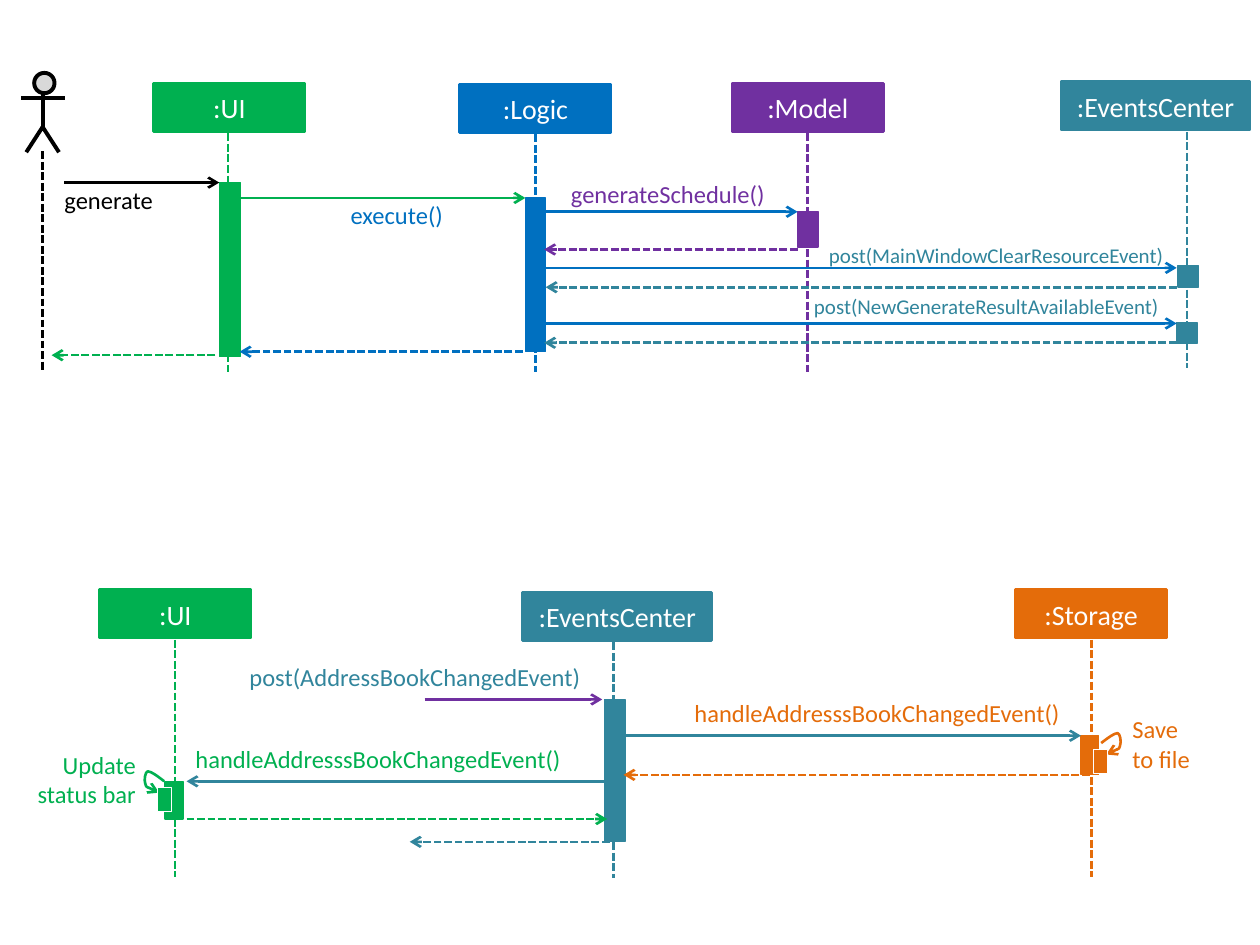
import pptx
import pptx.dml.color
import pptx.enum.dml
import pptx.enum.shapes
import pptx.enum.text
import pptx.oxml
import pptx.oxml.ns
import pptx.util
from lxml import etree
from pptx.util import Cm

GREEN, BLUE, PURPLE = "00B050", "0070C0", "7030A0"
TEAL, ORANGE, BLACK, WHITE = "31859C", "E46C0A", "000000", "FFFFFF"
LEFT, CENTER, RIGHT = (pptx.enum.text.PP_ALIGN.LEFT, pptx.enum.text.PP_ALIGN.CENTER,
                       pptx.enum.text.PP_ALIGN.RIGHT)
RECTANGLE = pptx.enum.shapes.MSO_SHAPE.RECTANGLE
HEADER_HEIGHT = 0.97
SELF_CALL_CURVE = [(0.13, -0.13), (0, -0.23), (-0.13, -0.33), (-0.2, -0.33), (-0.25, -0.33),
                   (-0.28, -0.15), (-0.25, -0.08), (-0.23, 0), (-0.1, 0.05), (0.03, 0.1)]


def rgb(value):
    """Turn a hex string into a colour."""
    return pptx.dml.color.RGBColor.from_string(value)


def style_line(line, color, width=1.5, dashed=False, arrow=False):
    """Set colour, width, dash and end arrow of a line."""
    line.color.rgb = rgb(color)
    line.width = pptx.util.Pt(width)
    if dashed:
        line.dash_style = pptx.enum.dml.MSO_LINE.SQUARE_DOT
    if arrow:
        properties = line.color._xFill.getparent()
        etree.SubElement(properties, pptx.oxml.ns.qn("a:tailEnd"), type="arrow")


def style_text(paragraph, text, color, size, align):
    """Write and format one paragraph."""
    paragraph.text = text
    paragraph.alignment = align
    paragraph.font.name = "Calibri"
    paragraph.font.size = pptx.util.Pt(size)
    paragraph.font.color.rgb = rgb(color)


class Region:
    """Draws diagram parts, in centimetres, relative to a box corner."""

    def __init__(self, slide, left, top):
        """Remember the slide and the corner of the box."""
        self.shapes = slide.shapes
        self.left, self.top = left, top

    def place(self, x, y):
        """Return a slide position for a point in the box."""
        return Cm(self.left + x), Cm(self.top + y)

    def block(self, color, x, y, width, height, outline=None, line_width=0.75, kind=RECTANGLE):
        """Add a filled shape."""
        shape = self.shapes.add_shape(kind, *self.place(x, y), Cm(width), Cm(height))
        shape.shadow.inherit = False
        shape.fill.solid()
        shape.fill.fore_color.rgb = rgb(color)
        style_line(shape.line, outline or color, line_width)
        return shape

    def line(self, color, start, end, width=1.5, dashed=False, arrow=False):
        """Add a straight connector."""
        connector = self.shapes.add_connector(
            pptx.enum.shapes.MSO_CONNECTOR.STRAIGHT, *self.place(*start), *self.place(*end))
        style_line(connector.line, color, width, dashed, arrow)
        etree.SubElement(connector._element.spPr, pptx.oxml.ns.qn("a:effectLst"))

    def outline(self, color, points, width, arrow=False):
        """Add an open, unfilled outline through the points."""
        places = [self.place(*point) for point in points]
        builder = self.shapes.build_freeform(*places[0])
        builder.add_line_segments(places[1:], close=False)
        shape = builder.convert_to_shape()
        shape.shadow.inherit = False
        shape.fill.background()
        style_line(shape.line, color, width, arrow=arrow)
        return shape

    def participant(self, name, color, x, y, width, lifeline, end):
        """Add a header with its dashed lifeline."""
        header = self.block(color, x, y, width, HEADER_HEIGHT, line_width=1.5)
        header.text_frame.vertical_anchor = pptx.enum.text.MSO_ANCHOR.MIDDLE
        style_text(header.text_frame.paragraphs[0], name, WHITE, 16, CENTER)
        self.line(color, (lifeline, y + HEADER_HEIGHT + 0.04), (lifeline, end), dashed=True)

    def message(self, color, start, end, y, dashed=False):
        """Add a horizontal arrow; replies are dashed."""
        self.line(color, (start, y), (end, y), dashed=dashed, arrow=True)

    def label(self, text, color, x, y, width, size=14, align=LEFT, height=0.61):
        """Add a text label without margins."""
        box = self.shapes.add_textbox(*self.place(x, y), Cm(width), Cm(height))
        frame = box.text_frame
        frame.word_wrap = True
        frame.auto_size = pptx.enum.text.MSO_AUTO_SIZE.SHAPE_TO_FIT_TEXT
        frame.margin_left = frame.margin_right = frame.margin_top = frame.margin_bottom = 0
        style_text(frame.paragraphs[0], text, color, size, align)

    def self_call(self, color, x, y, mirrored=False):
        """Add a small activation with a curved arrow looping into it."""
        width = 0.28
        points = [(x + (width - dx if mirrored else dx), y + dy) for dx, dy in SELF_CALL_CURVE]
        curve = self.outline(color, points, 1.5, arrow=True)
        segments = list(curve._element.iter(pptx.oxml.ns.qn("a:lnTo")))
        for index in range(0, len(segments), 3):
            bezier = etree.Element(pptx.oxml.ns.qn("a:cubicBezTo"))
            segments[index].addprevious(bezier)
            for segment in segments[index:index + 3]:
                bezier.append(segment[0])
                segment.getparent().remove(segment)
        self.block(color, x, y, width, 0.48, outline=WHITE)

    def draw(self, participants, activations, messages, labels):
        """Draw the listed parts from back to front."""
        for method, rows in ((self.participant, participants), (self.block, activations),
                             (self.message, messages), (self.label, labels)):
            for row in rows:
                method(*row)


def draw_actor(slide, left, top):
    """Draw the stick figure of the user."""
    actor = Region(slide, left, top)
    actor.block("D9D9D9", 0.26, 0, 0.41, 0.41, BLACK, 2.25,
                pptx.enum.shapes.MSO_SHAPE.FLOWCHART_CONNECTOR)
    actor.line(BLACK, (0.43, 0.41), (0.43, 1.12), 2.25)
    actor.outline(BLACK, [(0.1, 1.6), (0.43, 1.09), (0.76, 1.6)], 2.25)
    actor.line(BLACK, (0, 0.51), (0.89, 0.51), 2.25)


def draw_generate_sequence(slide, left, top):
    """Draw the sequence started by the generate command."""
    region = Region(slide, left, top)
    draw_actor(slide, left + 0.43, top - 0.03)
    region.line(BLACK, (0.86, 1.55), (0.86, 5.99), dashed=True)
    region.draw(
        [(":UI", GREEN, 3.1, 0.18, 3.05, 4.6, 5.99),
         (":Logic", BLUE, 9.27, 0.2, 3.05, 10.79, 5.99),
         (":Model", PURPLE, 14.76, 0.18, 3.05, 16.28, 5.99),
         (":EventsCenter", TEAL, 21.39, 0.15, 3.81, 23.93, 5.92)],
        [(GREEN, 4.42, 2.18, 0.43, 3.51),
         (BLUE, 10.59, 2.49, 0.41, 3.1),
         (PURPLE, 16.08, 2.77, 0.41, 0.71),
         (TEAL, 23.75, 3.86, 0.41, 0.43),
         (TEAL, 23.72, 5, 0.41, 0.43)],
        [(BLACK, 1.3, 4.42, 2.18),
         (GREEN, 4.83, 10.59, 2.49),
         (BLUE, 10.97, 16.08, 2.77),
         (PURPLE, 16.08, 10.97, 3.53, True),
         (BLUE, 11, 23.72, 3.9),
         (TEAL, 23.72, 11, 4.29, True),
         (BLUE, 10.97, 23.72, 5.02),
         (TEAL, 23.72, 10.97, 5.41, True),
         (BLUE, 10.54, 4.83, 5.59, True),
         (GREEN, 4.34, 1.04, 5.66, True)],
        [("generate", BLACK, 1.3, 2.23, 2.39),
         ("execute()", BLUE, 6.02, 2.54, 3.96, 14, CENTER),
         ("generateSchedule()", PURPLE, 11.51, 2.11, 3.96),
         ("post(MainWindowClearResourceEvent)", TEAL, 16.71, 3.38, 6.78, 12, LEFT, 0.51),
         ("post(NewGenerateResultAvailableEvent)", TEAL, 16.41, 4.42, 6.99, 12, LEFT, 0.51)])


def draw_event_sequence(slide, left, top):
    """Draw the handling of the changed-event by UI and storage."""
    region = Region(slide, left, top)
    region.draw(
        [(":UI", GREEN, 2.01, 0.09, 3.05, 3.53, 5.88),
         (":EventsCenter", TEAL, 10.54, 0.14, 3.81, 12.37, 5.9),
         (":Storage", ORANGE, 20.47, 0.09, 3.05, 22, 5.88)],
        [(GREEN, 3.33, 3.95, 0.36, 0.76),
         (TEAL, 12.19, 2.3, 0.41, 2.87),
         (ORANGE, 21.79, 3.03, 0.36, 0.79)],
        [(PURPLE, 8.56, 12.14, 2.3),
         (TEAL, 12.57, 21.79, 3.03),
         (ORANGE, 21.97, 12.57, 3.82, True),
         (TEAL, 12.24, 3.76, 3.95),
         (GREEN, 3.76, 12.24, 4.71, True),
         (TEAL, 12.29, 8.26, 5.17, True)],
        [("post(AddressBookChangedEvent)", TEAL, 5.03, 1.54, 7.54),
         ("handleAddresssBookChangedEvent()", ORANGE, 14, 2.27, 7.39),
         ("handleAddresssBookChangedEvent()", GREEN, 3.94, 3.19, 7.39),
         ("Update status bar", GREEN, 0.53, 3.31, 2.21, 14, RIGHT, 1.19),
         ("Save \vto file", ORANGE, 22.83, 2.6, 1.5, 14, LEFT, 1.19)])
    region.self_call(GREEN, 3.18, 4.08)
    region.self_call(ORANGE, 22.05, 3.31, mirrored=True)


presentation = pptx.Presentation()
presentation.slide_width, presentation.slide_height = Cm(25.4), Cm(19.05)
slide = presentation.slides.add_slide(presentation.slide_layouts[6])
draw_generate_sequence(slide, 0, 1.5)
draw_event_sequence(slide, 0, 11.8)
presentation.save("out.pptx")
